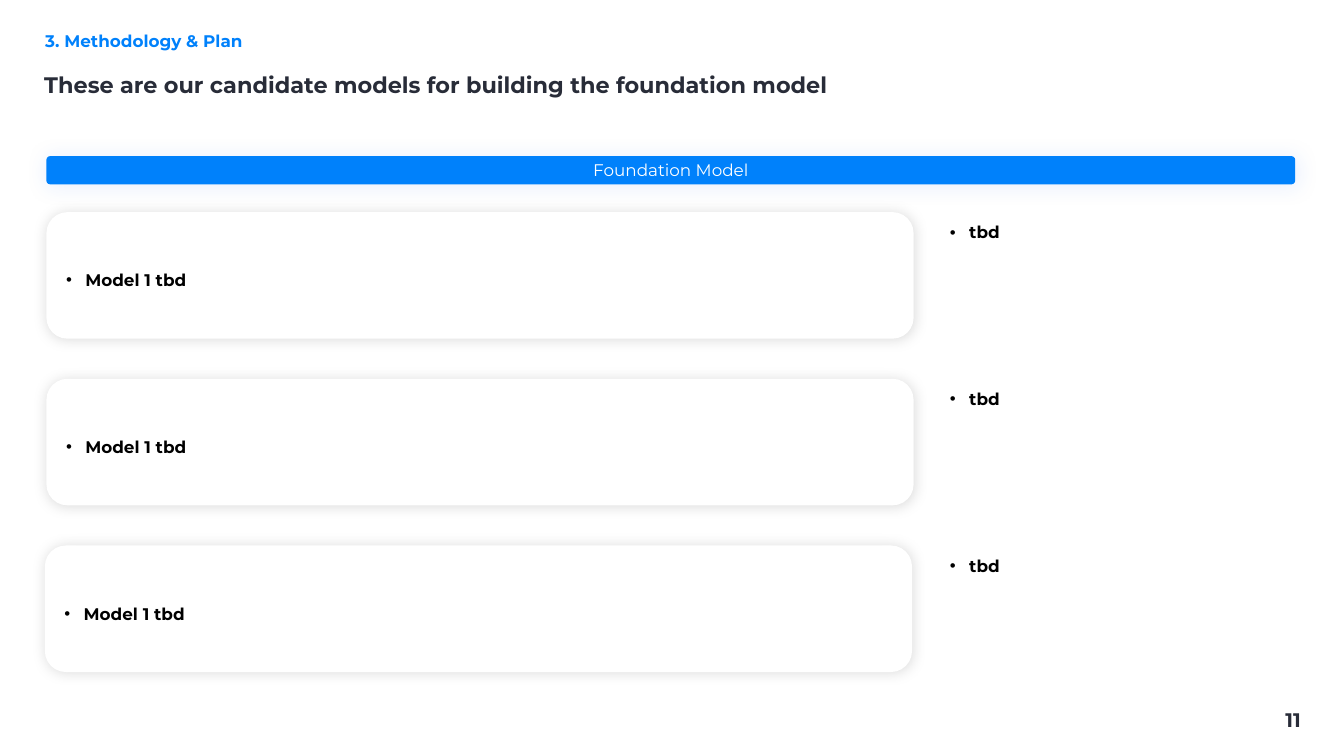
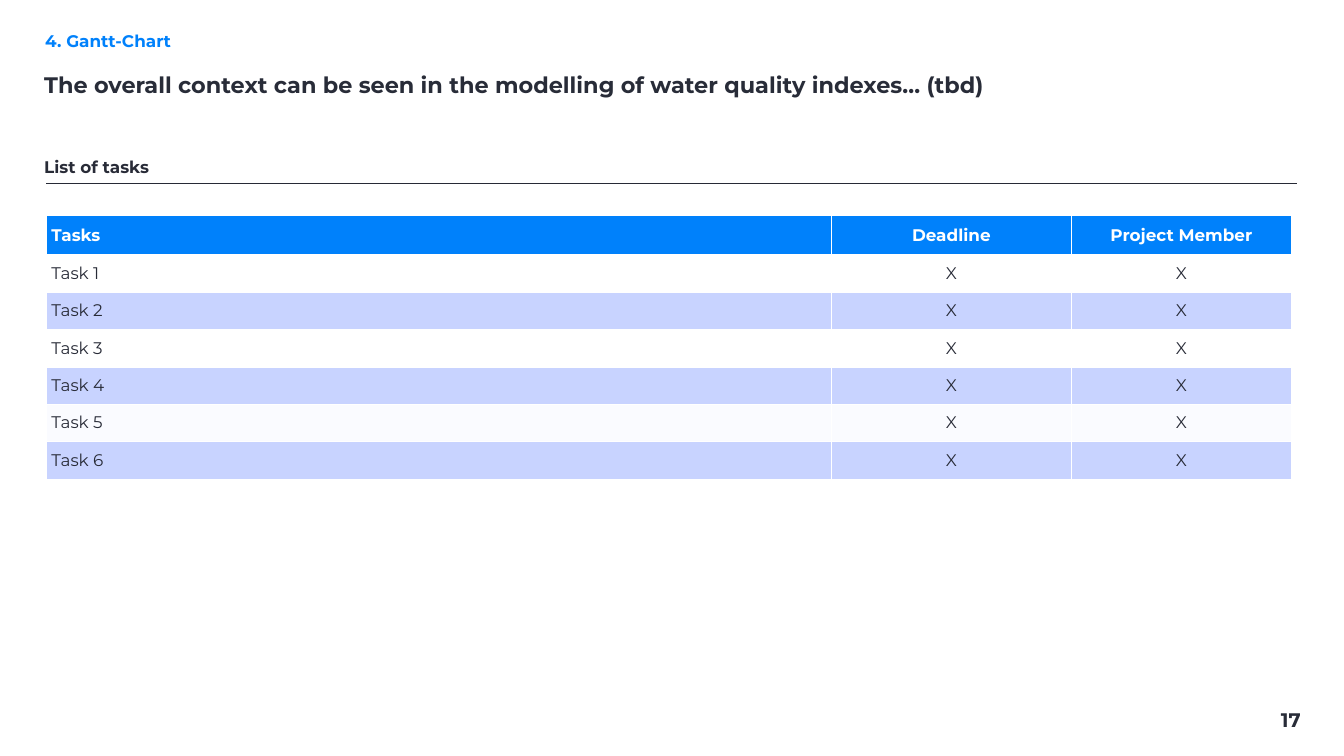
import pptx
import pptx.dml.color
import pptx.enum.shapes
import pptx.enum.text
import pptx.oxml.ns
import pptx.util
from lxml import etree

Cm = pptx.util.Cm
Pt = pptx.util.Pt
qn = pptx.oxml.ns.qn
ALIGN = pptx.enum.text.PP_ALIGN
ANCHOR = pptx.enum.text.MSO_ANCHOR
AUTO_SIZE = pptx.enum.text.MSO_AUTO_SIZE
SHAPE = pptx.enum.shapes.MSO_SHAPE
CONNECTOR = pptx.enum.shapes.MSO_CONNECTOR

FONT = "Montserrat"
COLORS = {
    "blue": "0081FB",
    "ink": "282C38",
    "body": "282B37",
    "rule": "272A36",
    "white": "FFFFFF",
    "black": "000000",
    "glow": "2463EC",
    "band": "C8D3FF",
    "pale": "FAFBFF",
}

MODELS = {
    "section": "3. Methodology & Plan",
    "title": "These are our candidate models for building the foundation model",
    "number": "11",
    "banner": "Foundation Model",
    "cards": [("Model 1 tbd", "tbd", 2.34), ("Model 1 tbd", "tbd", 2.34), ("Model 1 tbd", "tbd", 2.26)],
}
TASKS = {
    "section": "4. Gantt-Chart",
    "title": "The overall context can be seen in the modelling of water quality indexes… (tbd)",
    "number": "17",
    "heading": "List of tasks",
    "header": ("Tasks", "Deadline", "Project Member"),
    "rows": [(f"Task {number}", "X", "X") for number in range(1, 7)],
    "fills": ("white", "band", None, "band", "pale", "band"),
}

LEFT = 2.34
CARD_TOP, CARD_PITCH, CARD_WIDTH, CARD_HEIGHT = 10.69, 8.4, 43.71, 6.38
NOTE_LEFT = 47.88
BULLET_INDENT = 0.97
COLUMN_WIDTHS = (39.55, 12.12, 11.07)
HEADER_HEIGHT, ROW_HEIGHT = 1.98, 1.88


def rgb(name):
    return pptx.dml.color.RGBColor.from_string(COLORS[name])


def write_text(frame, text, *, size=24, color="ink", bold=False, align=ALIGN.LEFT,
               spacing=None, indent=0, bullet=False):
    paragraph = frame.paragraphs[0]
    paragraph.alignment = align
    properties = paragraph._p.get_or_add_pPr()
    properties.set("marL", str(Cm(indent)))
    properties.set("indent", str(-Cm(indent) if bullet else 0))
    if bullet:
        etree.SubElement(properties, qn("a:buFont")).set("typeface", "Arial")
        etree.SubElement(properties, qn("a:buChar")).set("char", "•")
    if spacing:
        paragraph.line_spacing = spacing
    run = paragraph.add_run()
    run.text = text
    run.font.name = FONT
    run.font.size = Pt(size)
    run.font.bold = bold
    run.font.color.rgb = rgb(color)


def add_text(slide, box, text, *, anchor=ANCHOR.MIDDLE, insets=(0.25, 0.13), grow=False, **text_format):
    frame = slide.shapes.add_textbox(*map(Cm, box)).text_frame
    frame.word_wrap = True
    frame.vertical_anchor = anchor
    frame.margin_left = frame.margin_right = Cm(insets[0])
    frame.margin_top = frame.margin_bottom = Cm(insets[1])
    if grow:
        frame.auto_size = AUTO_SIZE.SHAPE_TO_FIT_TEXT
    write_text(frame, text, **text_format)


def add_bullet(slide, left, top, text):
    add_text(slide, (left, top, 17.75, 1.55), text, anchor=ANCHOR.TOP, insets=(0, 0), grow=True,
             color="black", bold=True, spacing=1.5, indent=BULLET_INDENT, bullet=True)


def add_panel(slide, box, *, fill, glow, opacity, blur, corner=None):
    shape = slide.shapes.add_shape(SHAPE.ROUNDED_RECTANGLE, *map(Cm, box))
    if corner is not None:
        shape.adjustments[0] = corner
    shape.fill.solid()
    shape.fill.fore_color.rgb = rgb(fill)
    shape.line.fill.background()
    shape.shadow.inherit = False
    effects = shape._element.spPr.find(qn("a:effectLst"))
    shadow = etree.SubElement(effects, qn("a:outerShdw"), blurRad=str(Pt(blur)), dist="0", dir="0",
                              algn="ctr", rotWithShape="0")
    shade = etree.SubElement(shadow, qn("a:srgbClr"), val=COLORS[glow])
    etree.SubElement(shade, qn("a:alpha"), val=str(opacity * 1000))
    return shape


def set_borders(cell, bottom):
    properties = cell._tc.get_or_add_tcPr()
    for index, (side, width) in enumerate((("lnL", 1), ("lnR", 1), ("lnT", 1), ("lnB", bottom))):
        line = etree.Element(qn("a:" + side), w=str(Pt(width)))
        fill = etree.SubElement(line, qn("a:solidFill"))
        etree.SubElement(fill, qn("a:srgbClr"), val=COLORS["white"])
        properties.insert(index, line)


def start_slide(presentation, content):
    slide = presentation.slides.add_slide(presentation.slide_layouts[6])
    slide.background.fill.solid()
    slide.background.fill.fore_color.rgb = rgb("white")
    add_text(slide, (60.81, 35.53, 5, 1.45), content["number"], anchor=ANCHOR.TOP,
             size=28, bold=True, align=ALIGN.RIGHT)
    add_text(slide, (1.88, 1.24, 63.68, 1.45), content["section"], color="blue", bold=True,
             spacing=1.2, indent=0.15)
    add_text(slide, (1.98, 3.05, 63.68, 2.44), content["title"], size=32, bold=True)
    return slide


def build_models(presentation):
    slide = start_slide(presentation, MODELS)
    banner = add_panel(slide, (LEFT, 7.87, 62.94, 1.42), fill="blue", glow="glow",
                       opacity=9, blur=30, corner=0.13)
    banner.text_frame.vertical_anchor = ANCHOR.MIDDLE
    write_text(banner.text_frame, MODELS["banner"], color="white", align=ALIGN.CENTER)
    for index, (model, note, left) in enumerate(MODELS["cards"]):
        top = CARD_TOP + index * CARD_PITCH
        add_panel(slide, (left, top, CARD_WIDTH, CARD_HEIGHT), fill="white", glow="black",
                  opacity=14, blur=21)
        add_bullet(slide, left + 0.99, top + 2.41, model)
        add_bullet(slide, NOTE_LEFT, top, note)


def build_tasks(presentation):
    slide = start_slide(presentation, TASKS)
    add_text(slide, (1.98, 7.21, 63.5, 2.44), TASKS["heading"], color="body", bold=True)
    rule = slide.shapes.add_connector(CONNECTOR.STRAIGHT, Cm(LEFT), Cm(9.25), Cm(65.35), Cm(9.25))
    rule.line.color.rgb = rgb("rule")
    rule.line.width = Pt(1.5)
    etree.SubElement(rule._element.spPr, qn("a:effectLst"))

    rows = [TASKS["header"], *TASKS["rows"]]
    fills = ["blue", *TASKS["fills"]]
    heights = [HEADER_HEIGHT] + [ROW_HEIGHT] * len(TASKS["rows"])
    table = slide.shapes.add_table(len(rows), len(COLUMN_WIDTHS), Cm(LEFT), Cm(10.87),
                                   Cm(sum(COLUMN_WIDTHS)), Cm(sum(heights))).table
    table.horz_banding = False
    for column, width in zip(table.columns, COLUMN_WIDTHS):
        column.width = Cm(width)
    for row_index, (values, fill, height) in enumerate(zip(rows, fills, heights)):
        table.rows[row_index].height = Cm(height)
        is_header = row_index == 0
        for column_index, value in enumerate(values):
            cell = table.cell(row_index, column_index)
            cell.vertical_anchor = ANCHOR.MIDDLE
            if fill:
                cell.fill.solid()
                cell.fill.fore_color.rgb = rgb(fill)
            else:
                cell.fill.background()
            set_borders(cell, 3 if is_header else 1)
            write_text(cell.text_frame, value, color="white" if is_header else "body", bold=is_header,
                       align=ALIGN.CENTER if column_index else ALIGN.LEFT)


def main():
    presentation = pptx.Presentation()
    presentation.slide_width = Cm(67.74)
    presentation.slide_height = Cm(38.1)
    build_models(presentation)
    build_tasks(presentation)
    presentation.save("out.pptx")


if __name__ == "__main__":
    main()
